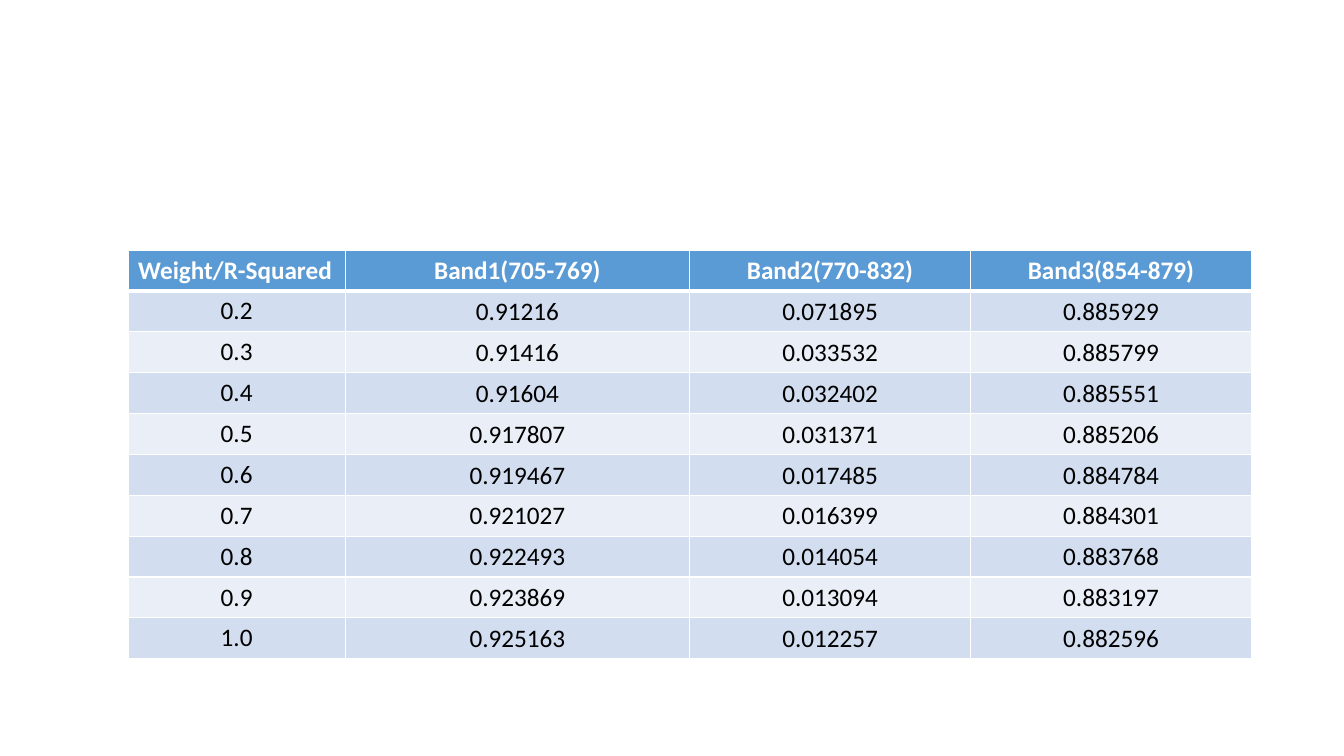
from pptx import Presentation
from pptx.util import Cm, Pt
from pptx.dml.color import RGBColor as RGB
from pptx.enum.text import MSO_ANCHOR as Anchor, PP_ALIGN as Align
from pptx.oxml import parse_xml
from pptx.oxml.ns import nsdecls

# Content
HEAD = ["Weight/R-Squared", "Band1(705-769)", "Band2(770-832)", "Band3(854-879)"]
DATA = [
    ("0.2", "0.91216", "0.071895", "0.885929"),
    ("0.3", "0.91416", "0.033532", "0.885799"),
    ("0.4", "0.91604", "0.032402", "0.885551"),
    ("0.5", "0.917807", "0.031371", "0.885206"),
    ("0.6", "0.919467", "0.017485", "0.884784"),
    ("0.7", "0.921027", "0.016399", "0.884301"),
    ("0.8", "0.922493", "0.014054", "0.883768"),
    ("0.9", "0.923869", "0.013094", "0.883197"),
    ("1.0", "0.925163", "0.012257", "0.882596"),
]
COLORS = {"head": "5B9BD5", "odd": "D2DEEF", "even": "EAEFF7",
          "line": "FFFFFF", "title": "FFFFFF", "text": "000000"}

# Layout in centimetres
LEFT, TOP = 3.23, 6.3
WIDTHS = [5.47, 8.68, 7.08, 7.08]
HEIGHT = 1.02
INSET = 0.03


def set_lines(cell, row):
    """Draw thin borders, with a thick rule under the header."""
    thick = {0: "B", 1: "T"}.get(row)
    props = cell._tc.get_or_add_tcPr()
    for side in "LRTB":
        width = Pt(3 if side == thick else 1)
        props.append(parse_xml(
            f'<a:ln{side} {nsdecls("a")} w="{width}"><a:solidFill>'
            f'<a:srgbClr val="{COLORS["line"]}"/></a:solidFill></a:ln{side}>'))


def fill_cell(cell, text, row, col):
    set_lines(cell, row)
    fill = "head" if row == 0 else "odd" if row % 2 else "even"
    cell.fill.solid()
    cell.fill.fore_color.rgb = RGB.from_string(COLORS[fill])
    cell.text = text
    para = cell.text_frame.paragraphs[0]
    para.alignment = Align.LEFT if row == col == 0 else Align.CENTER
    font = para.font
    font.name, font.size, font.bold = "Calibri", Pt(18), row == 0
    font.color.rgb = RGB.from_string(COLORS["text" if row else "title"])
    # Band values sit in the middle with tight margins
    if row and col:
        cell.vertical_anchor = Anchor.MIDDLE
        cell.margin_left = cell.margin_right = cell.margin_top = Cm(INSET)
        cell.margin_bottom = 0


def main():
    deck = Presentation()
    deck.slide_width, deck.slide_height = Cm(33.87), Cm(19.05)
    slide = deck.slides.add_slide(deck.slide_layouts[6])

    # Table of R-squared by weight and band
    rows = [HEAD, *DATA]
    table = slide.shapes.add_table(
        len(rows), len(HEAD), Cm(LEFT), Cm(TOP),
        Cm(sum(WIDTHS)), Cm(HEIGHT * len(rows))).table
    for column, width in zip(table.columns, WIDTHS):
        column.width = Cm(width)
    for r, texts in enumerate(rows):
        for c, text in enumerate(texts):
            fill_cell(table.cell(r, c), text, r, c)

    deck.save("out.pptx")


if __name__ == "__main__":
    main()
